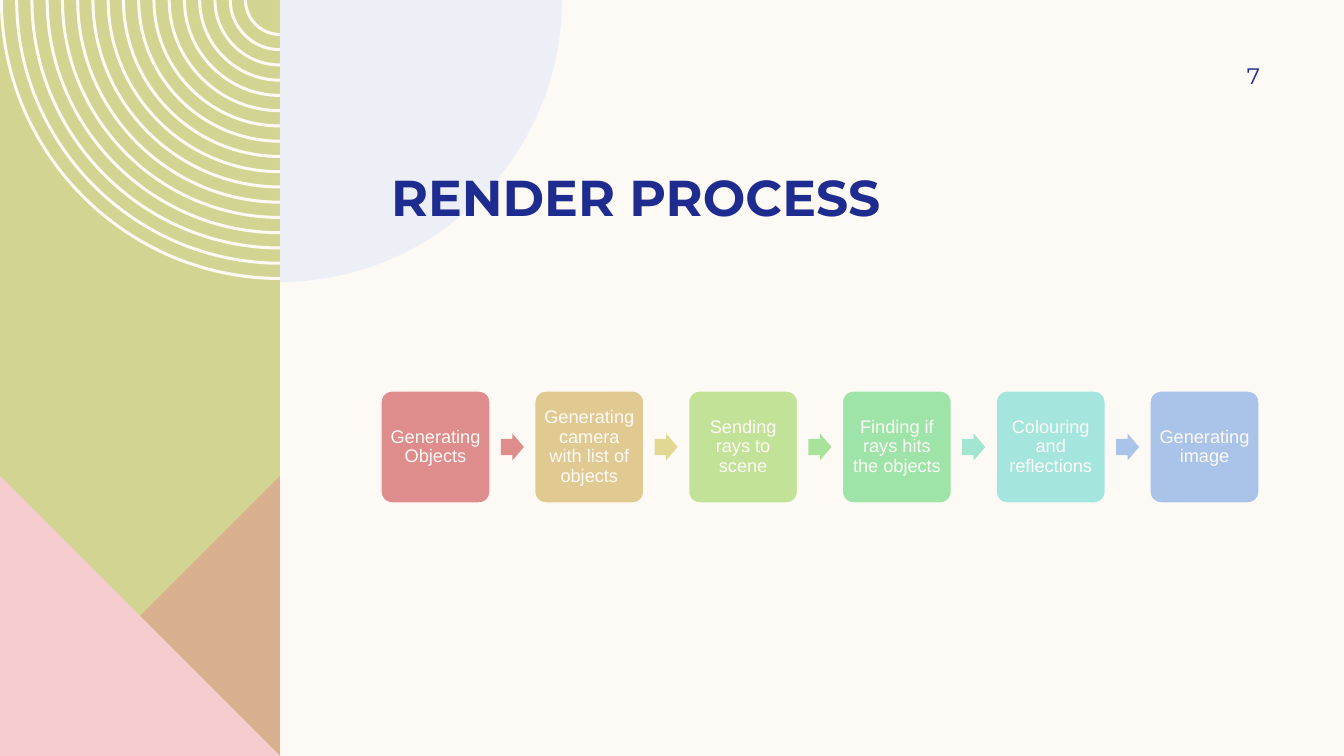
from dataclasses import dataclass

from lxml import etree
from pptx import Presentation
from pptx.dml.color import RGBColor
from pptx.enum.shapes import MSO_SHAPE
from pptx.enum.text import MSO_ANCHOR, MSO_AUTO_SIZE, PP_ALIGN
from pptx.oxml.ns import qn
from pptx.util import Pt

EMU_PER_PX = 914400 / 100.8
CURVE_RATIO = 0.55
TITLE_ONLY = 5
RECTANGLE, ROUNDED, ARROW = MSO_SHAPE.RECTANGLE, MSO_SHAPE.ROUNDED_RECTANGLE, MSO_SHAPE.RIGHT_ARROW
LEFT, CENTER, RIGHT = PP_ALIGN.LEFT, PP_ALIGN.CENTER, PP_ALIGN.RIGHT
MIDDLE, BOTTOM = MSO_ANCHOR.MIDDLE, MSO_ANCHOR.BOTTOM
NO_AUTOFIT = MSO_AUTO_SIZE.NONE


@dataclass(frozen=True)
class Theme:
    """Colours, fonts and type sizes of the slide."""
    paper: str = "FDFAF6"
    ink: str = "1F2C8F"
    green: str = "D2D592"
    rose: str = "DE8C8C"
    pink: str = "F5CDCE"
    sky: str = "DDE7F6"
    heading_font: str = "Montserrat"
    step_font: str = "Arial"
    title_size: int = 36
    number_size: int = 16
    step_size: int = 13


THEME = Theme()
STEPS = [
    ("Generating Objects", "DE8C8C"),
    ("Generating camera with list of objects", "E0CA92"),
    ("Sending rays to scene", "C2E298"),
    ("Finding if rays hits the objects", "9EE4A9"),
    ("Colouring and reflections", "A4E6DE"),
    ("Generating image", "AAC3E8"),
]
ARROW_COLOURS = ["DE8C8C", "E1D993", "A9E39B", "A2E6D1", "AAC3E8"]


def px(length):
    """Turn pixels into EMU."""
    return round(length * EMU_PER_PX)


def paint(shape, colour, opacity=100):
    """Give a shape a flat fill without line or shadow."""
    shape.shadow.inherit = False
    shape.line.fill.background()
    shape.fill.solid()
    shape.fill.fore_color.rgb = RGBColor.from_string(colour)
    if opacity < 100:
        colour_element = shape.element.spPr.find(".//" + qn("a:srgbClr"))
        etree.SubElement(colour_element, qn("a:alpha"), val=str(opacity * 1000))


def add_preset(slide, kind, box, colour):
    """Add a painted preset shape in a pixel box."""
    shape = slide.shapes.add_shape(kind, *map(px, box))
    paint(shape, colour)
    return shape


def add_outline(slide, contours, colour, opacity=100):
    """Add one painted freeform made of closed pixel contours."""
    contours = [[(px(x), px(y)) for x, y in contour] for contour in contours]
    builder = slide.shapes.build_freeform(*contours[0][0])
    for index, contour in enumerate(contours):
        if index:
            builder.move_to(*contour[0])
        builder.add_line_segments(contour[1:], close=True)
    shape = builder.convert_to_shape()
    paint(shape, colour, opacity)
    return shape


def round_diagonals(shape):
    """Turn each slanted edge of a freeform into a downward quarter circle."""
    start_x = start_y = 0
    points = list(shape.element.spPr.iter(qn("a:pt")))
    for point in points:
        end_x, end_y = int(point.get("x")), int(point.get("y"))
        segment = point.getparent()
        if segment.tag == qn("a:lnTo") and start_x != end_x and start_y != end_y:
            corner_x = start_x if start_y < end_y else end_x
            corner_y = max(start_y, end_y)
            segment.tag = qn("a:cubicBezTo")
            for index, (x, y) in enumerate([(start_x, start_y), (end_x, end_y)]):
                control = etree.Element(qn("a:pt"))
                control.set("x", str(round(x + CURVE_RATIO * (corner_x - x))))
                control.set("y", str(round(y + CURVE_RATIO * (corner_y - y))))
                segment.insert(index, control)
        start_x, start_y = end_x, end_y


def write(shape, text, font, size, colour, alignment, anchor, margins, bold=False):
    """Set and format the single paragraph of a shape."""
    frame = shape.text_frame
    frame.text = text
    frame.auto_size = NO_AUTOFIT
    frame.word_wrap = True
    frame.vertical_anchor = anchor
    frame.margin_left, frame.margin_top, frame.margin_right, frame.margin_bottom = map(px, margins)
    paragraph = frame.paragraphs[0]
    paragraph.alignment = alignment
    run_font = paragraph.runs[0].font
    run_font.name, run_font.size, run_font.bold = font, Pt(size), bold
    run_font.color.rgb = RGBColor.from_string(colour)
    return paragraph


def add_side_panel(slide, box):
    """Draw the green band with its rings, triangles and quarter disc."""
    left, top, width, height = box
    right, bottom = left + width, top + height
    corner = bottom - width
    add_preset(slide, RECTANGLE, box, THEME.green)
    smallest, ring_count, thickness, disc_radius = 36, 17, 3, 282
    gap = (width - smallest) / (ring_count - 1)
    rings = []
    for index in range(ring_count):
        outer = smallest + gap * index
        inner = outer - thickness
        rings.append([(right - outer, top), (right, top + outer),
                      (right, top + inner), (right - inner, top)])
    round_diagonals(add_outline(slide, rings, THEME.paper))
    add_outline(slide, [[(right, corner), (right, bottom), (left, bottom)]], THEME.rose, 50)
    add_outline(slide, [[(left, corner), (right, bottom), (left, bottom)]], THEME.pink)
    disc = [(right, top), (right + disc_radius, top), (right, top + disc_radius)]
    round_diagonals(add_outline(slide, [disc], THEME.sky, 50))


def add_heading(slide, box):
    """Place the slide title in front of the side panel."""
    title = slide.shapes.title
    title.element.getparent().append(title.element)
    title.left, title.top, title.width, title.height = map(px, box)
    write(title, "RENDER PROCESS", THEME.heading_font, THEME.title_size, THEME.ink,
          LEFT, BOTTOM, (10, 0, 10, 0), bold=True)


def add_page_number(slide, box):
    """Place the page number."""
    number = slide.shapes.add_textbox(*map(px, box))
    write(number, "7", THEME.heading_font, THEME.number_size, THEME.ink,
          RIGHT, MIDDLE, (10, 5, 0, 5))


def add_process(slide, box):
    """Lay out the step boxes in a row with arrows between them."""
    left, top, width, height = box
    step_width, arrow_width, arrow_height = 109, 23, 27
    pitch = (width - step_width) / (len(STEPS) - 1)
    for index, (text, colour) in enumerate(STEPS):
        x = left + pitch * index
        step = add_preset(slide, ROUNDED, (x, top, step_width, height), colour)
        step.adjustments[0] = 0.1
        step.line.color.rgb = RGBColor.from_string(THEME.paper)
        step.line.width = Pt(1)
        paragraph = write(step, text, THEME.step_font, THEME.step_size, THEME.paper,
                          CENTER, MIDDLE, (5, 5, 5, 5))
        paragraph.line_spacing = 0.9
        if index < len(ARROW_COLOURS):
            arrow_left = x + (step_width + pitch - arrow_width) / 2
            arrow_top = top + (height - arrow_height) / 2
            arrow = add_preset(slide, ARROW, (arrow_left, arrow_top, arrow_width, arrow_height),
                               ARROW_COLOURS[index])
            arrow.adjustments[0], arrow.adjustments[1] = 0.6, 0.5


def main():
    """Build and save the slide."""
    presentation = Presentation()
    presentation.slide_width, presentation.slide_height = px(1344), px(756)
    slide = presentation.slides.add_slide(presentation.slide_layouts[TITLE_ONLY])
    slide.background.fill.solid()
    slide.background.fill.fore_color.rgb = RGBColor.from_string(THEME.paper)
    add_side_panel(slide, (0, 0, 280, 756))
    add_heading(slide, (381, 117, 878, 110))
    add_process(slide, (381, 391, 878, 112))
    add_page_number(slide, (1142, 50, 118, 52))
    presentation.save("out.pptx")


if __name__ == "__main__":
    main()
